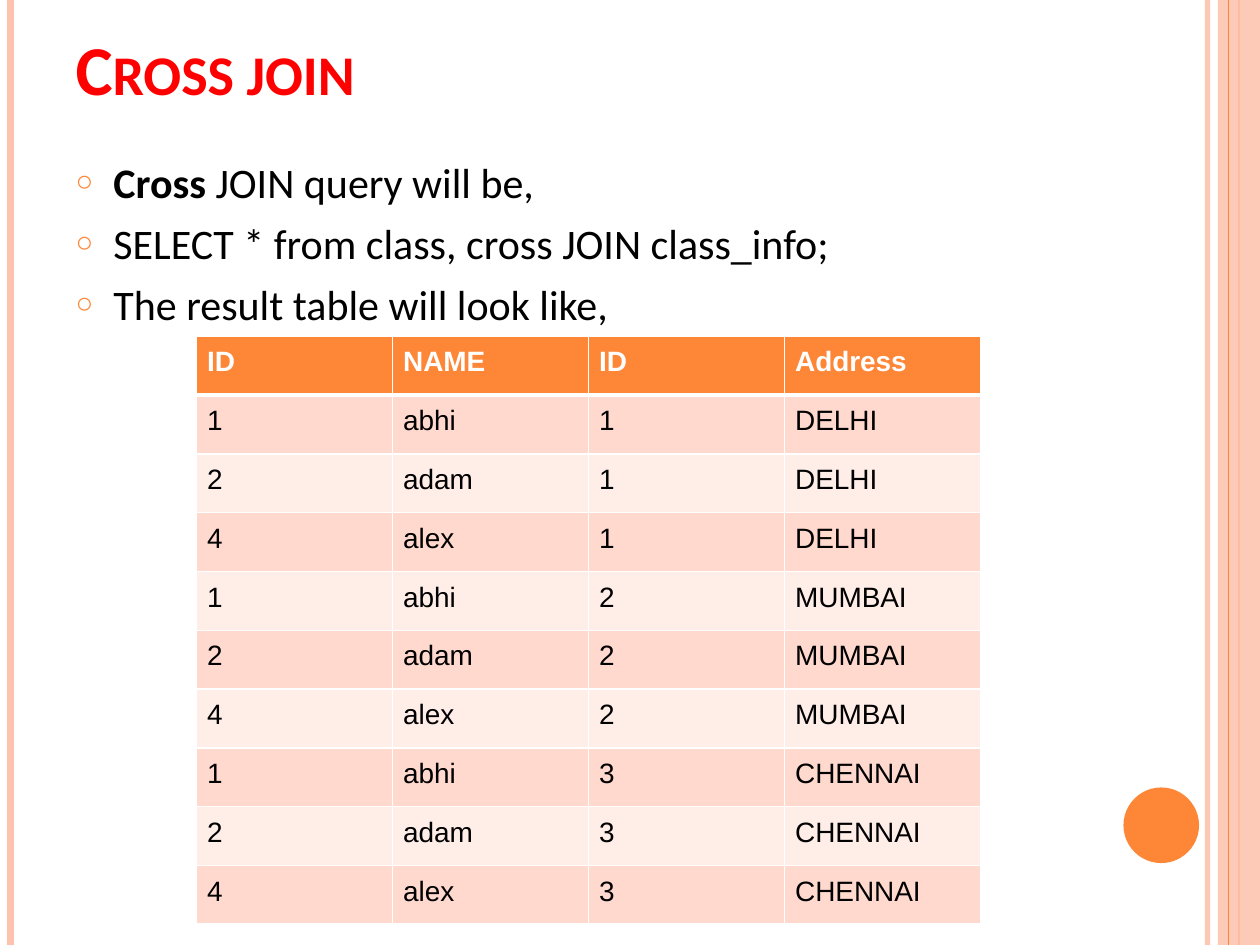
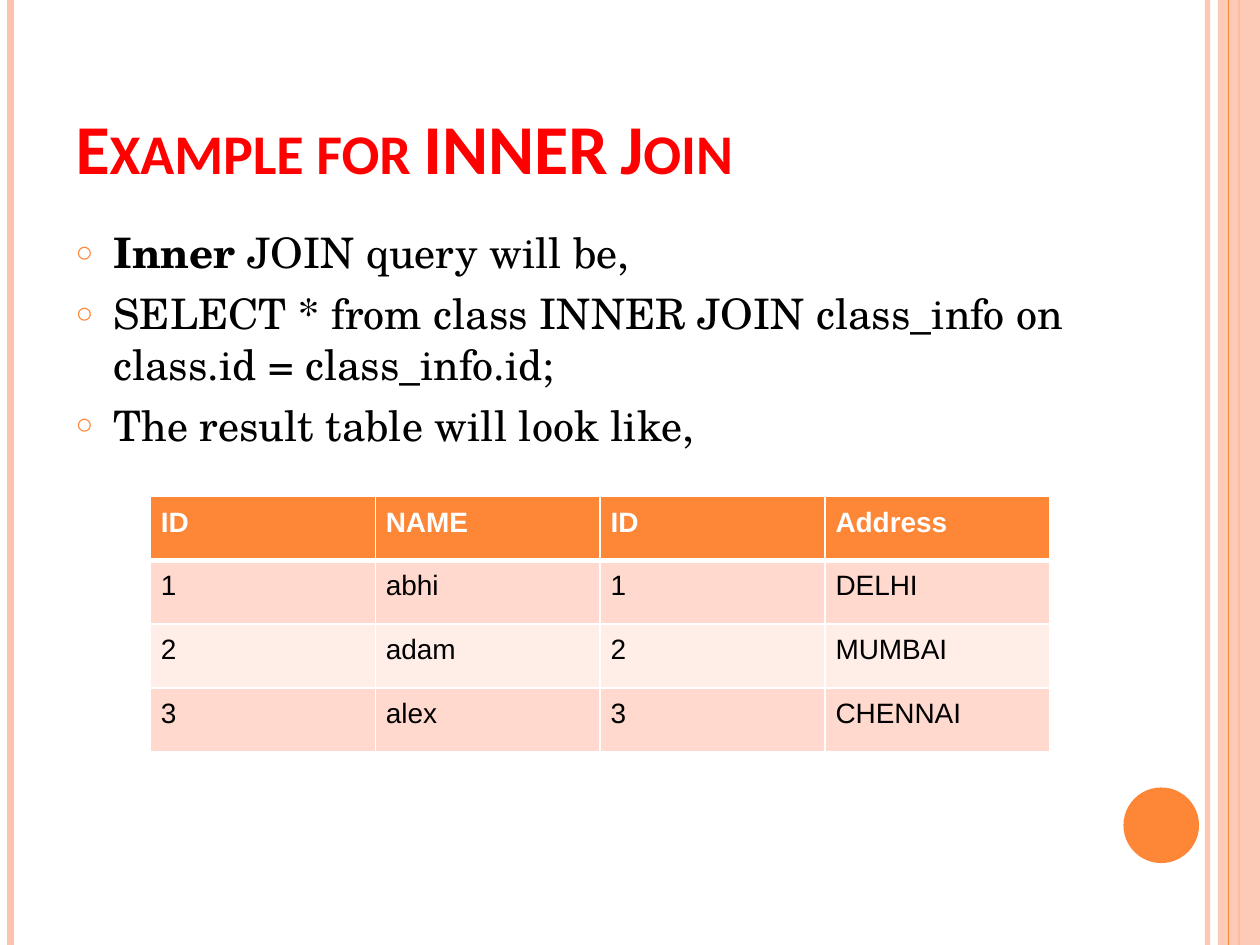
"""Build two slides on SQL joins, each with a short list and a result table."""
import itertools

import lxml.etree
import pptx
import pptx.dml.color
import pptx.enum.shapes
import pptx.enum.text
import pptx.oxml.ns
import pptx.util

Pt = pptx.util.Pt
RGBColor = pptx.dml.color.RGBColor
qn = pptx.oxml.ns.qn

ORANGE = RGBColor(0xFE, 0x86, 0x37)
PEACH = RGBColor(0xFE, 0xC3, 0xAE)
DARK_BAND = RGBColor(0xFF, 0xD9, 0xCE)
LIGHT_BAND = RGBColor(0xFF, 0xED, 0xE8)
RED = RGBColor(0xFF, 0x00, 0x00)
BLACK = RGBColor(0x00, 0x00, 0x00)
WHITE = RGBColor(0xFF, 0xFF, 0xFF)

SLIDE_WIDTH, SLIDE_HEIGHT = 720, 540
TEXT_LEFT, TEXT_WIDTH = 36, 588
TITLE_TOP = 21.6
INDENT = 21.6
CELL_INSET = 6
HEADINGS = ("ID", "NAME", "ID", "Address")
PEOPLE = (("1", "abhi"), ("2", "adam"), ("4", "alex"))
CITIES = (("1", "DELHI"), ("2", "MUMBAI"), ("3", "CHENNAI"))


def add_xml(parent, tag, **attributes):
    """Append a child element with the given attributes."""
    return lxml.etree.SubElement(parent, qn(tag), **attributes)


def set_opacity(shape, percent):
    """Make the explicit colours of a shape partly transparent."""
    for color in shape._element.iter(qn("a:srgbClr")):
        add_xml(color, "a:alpha", val=str(percent * 1000))


class JoinDeck:
    """Hold the shared style and the current slide."""

    def __init__(self):
        self.presentation = pptx.Presentation()
        self.presentation.slide_width = Pt(SLIDE_WIDTH)
        self.presentation.slide_height = Pt(SLIDE_HEIGHT)
        self.slide = None

    def add_slide(self):
        """Start a slide with its side bands and disc."""
        layout = self.presentation.slide_layouts[1]
        self.slide = self.presentation.slides.add_slide(layout)
        self.add_rule(690, PEACH, 3, 93)
        self.add_rule(6, PEACH, 4.5)
        self.add_rule(708, ORANGE, 1.5)
        shapes = pptx.enum.shapes.MSO_SHAPE
        band = self.add_shape(shapes.RECTANGLE, (696, 0, 24, SLIDE_HEIGHT), PEACH)
        set_opacity(band, 87)
        self.add_rule(702, ORANGE, 0.75)
        self.add_shape(shapes.OVAL, (642, 450, 43.2, 43.2), ORANGE)

    def add_rule(self, x, color, width, opacity=100):
        """Draw a vertical line over the full slide height."""
        rule = self.slide.shapes.add_connector(
            pptx.enum.shapes.MSO_CONNECTOR.STRAIGHT, Pt(x), 0, Pt(x), Pt(SLIDE_HEIGHT))
        rule.line.color.rgb = color
        rule.line.width = Pt(width)
        if opacity < 100:
            set_opacity(rule, opacity)
        add_xml(rule._element.spPr, "a:effectLst")

    def add_shape(self, kind, box, color):
        """Draw a plain filled shape without outline."""
        shape = self.slide.shapes.add_shape(kind, *map(Pt, box))
        shape.shadow.inherit = False
        shape.fill.solid()
        shape.fill.fore_color.rgb = color
        shape.line.fill.background()
        return shape

    def place(self, placeholder, top, height, anchor):
        """Move a placeholder into the text column and return its frame."""
        placeholder.left, placeholder.width = Pt(TEXT_LEFT), Pt(TEXT_WIDTH)
        placeholder.top, placeholder.height = Pt(top), Pt(height)
        frame = placeholder.text_frame
        frame.word_wrap = True
        frame.auto_size = pptx.enum.text.MSO_AUTO_SIZE.NONE
        frame.vertical_anchor = anchor
        return frame

    def set_font(self, paragraph, name, size, color, bold=None):
        """Set the font that all runs of a paragraph share."""
        font = paragraph.font
        font.name, font.size, font.bold = name, Pt(size), bold
        font.color.rgb = color

    def add_title(self, text, height):
        """Fill the title in red small capitals."""
        frame = self.place(self.slide.shapes.title, TITLE_TOP, height,
                           pptx.enum.text.MSO_ANCHOR.BOTTOM)
        frame.text = text
        paragraph = frame.paragraphs[0]
        paragraph.alignment = pptx.enum.text.PP_ALIGN.LEFT
        self.set_font(paragraph, "Calibri", 40, RED, True)
        paragraph._p.pPr.find(qn("a:defRPr")).set("cap", "small")

    def add_list(self, items, top, height, font_name):
        """Fill the body with bullets given as (bold lead, rest) pairs."""
        frame = self.place(self.slide.placeholders[1], top, height,
                           pptx.enum.text.MSO_ANCHOR.TOP)
        for index, (lead, rest) in enumerate(items):
            paragraph = frame.add_paragraph() if index else frame.paragraphs[0]
            if lead:
                run = paragraph.add_run()
                run.text = lead
                run.font.bold = True
            paragraph.add_run().text = rest
            paragraph.space_before = Pt(6)
            self.add_bullet(paragraph)
            self.set_font(paragraph, font_name, 24, BLACK)

    def add_bullet(self, paragraph):
        """Give a paragraph a hanging indent and an orange ring."""
        properties = paragraph._p.get_or_add_pPr()
        properties.set("marL", str(Pt(INDENT)))
        properties.set("indent", str(-Pt(INDENT)))
        add_xml(add_xml(properties, "a:buClr"), "a:srgbClr", val=str(ORANGE))
        add_xml(properties, "a:buSzPct", val="70000")
        add_xml(properties, "a:buChar", char="○")

    def add_table(self, rows, left, top, column_width, row_height):
        """Draw a banded table under the shared headings."""
        rows = [HEADINGS, *rows]
        columns = len(HEADINGS)
        table = self.slide.shapes.add_table(
            len(rows), columns, Pt(left), Pt(top),
            Pt(column_width * columns), Pt(row_height * len(rows))).table
        for column in table.columns:
            column.width = Pt(column_width)
        for row_index, values in enumerate(rows):
            table.rows[row_index].height = Pt(row_height)
            for column_index, value in enumerate(values):
                self.fill_cell(table.cell(row_index, column_index), value, row_index)

    def fill_cell(self, cell, value, row_index):
        """Write and colour one cell according to its row."""
        is_header = row_index == 0
        cell.text = value
        cell.margin_left = cell.margin_right = Pt(CELL_INSET)
        cell.margin_top = cell.margin_bottom = Pt(CELL_INSET)
        self.set_font(cell.text_frame.paragraphs[0], "Arial", 16,
                      WHITE if is_header else BLACK, is_header)
        properties = cell._tc.get_or_add_tcPr()
        widths = {"L": 1, "R": 1, "T": 3 if row_index == 1 else 1, "B": 3 if is_header else 1}
        for side, width in widths.items():
            border = add_xml(properties, f"a:ln{side}", w=str(Pt(width)))
            add_xml(add_xml(border, "a:solidFill"), "a:srgbClr", val=str(WHITE))
        cell.fill.solid()
        band = DARK_BAND if row_index % 2 else LIGHT_BAND
        cell.fill.fore_color.rgb = ORANGE if is_header else band


def main():
    """Build both slides and save them."""
    deck = JoinDeck()
    query_end = " JOIN query will be,"
    result_item = ("", "The result table will look like,")

    deck.add_slide()
    deck.add_title("Cross join", 44.6)
    deck.add_list(
        [("Cross", query_end), ("", "SELECT * from class, cross JOIN class_info;"), result_item],
        85.7, 454.3, "Calibri")
    cross_rows = [person + city for city, person in itertools.product(CITIES, PEOPLE)]
    deck.add_table(cross_rows, 112.4, 192.2, 112, 33.6)

    deck.add_slide()
    deck.add_title("Example for INNER Join", 90)
    deck.add_list(
        [("Inner", query_end),
         ("", "SELECT * from class INNER JOIN class_info on class.id = class_info.id;"),
         result_item],
        126, 384, "TeX Gyre Schola")
    inner_rows = [(city[0], person[1], *city) for person, city in zip(PEOPLE, CITIES)]
    deck.add_table(inner_rows, 86, 283.7, 128.5, 36.5)

    deck.presentation.save("out.pptx")


if __name__ == "__main__":
    main()
